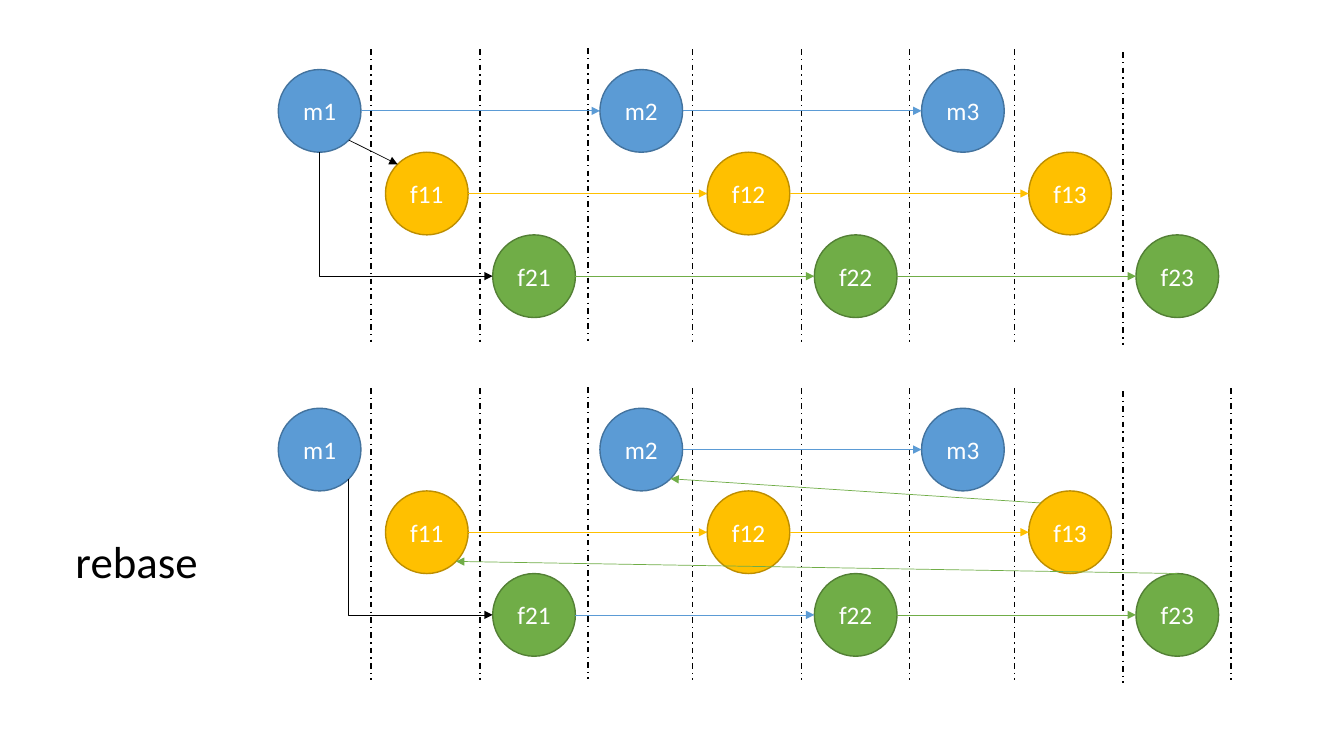
import math

import pptx
import pptx.dml.color
import pptx.enum.dml
import pptx.enum.shapes
import pptx.enum.text
import pptx.oxml
import pptx.oxml.ns
import pptx.util
from pptx.util import Inches

BLUE, GOLD, GREEN, BLACK, WHITE = "5B9BD5", "FFC000", "70AD47", "000000", "FFFFFF"
COMMITS = ["m1", "f11", "f21", "m2", "f12", "f22", "m3", "f13", "f23"]
BRANCH_STYLES = [(BLUE, "43739E"), (GOLD, "BD8E00"), (GREEN, "538035")]
DIAMETER = 0.82
CYCLE = 3.19  # distance between two commits of one branch
FIRST_LEFT, FIRST_TOP = 2.76, 0.69
DIVIDER_HEIGHT = 2.9
# Clockwise angles, in degrees, of the points where arrows meet a commit
RIGHT, LOWER_RIGHT, BOTTOM, LEFT, UPPER_LEFT, TOP = 0, 45, 90, 180, 225, 270


def color(value):
    """Turn a hex string into a colour."""
    return pptx.dml.color.RGBColor.from_string(value)


class Diagram:
    """Holds the text style and the current page."""

    def __init__(self, page, font="Calibri"):
        """Keep the page and the font name."""
        self.page = page
        self.font = font

    def set_text(self, shape, text, size, fill):
        """Put one centred line of text into a shape."""
        para = shape.text_frame.paragraphs[0]
        para.text = text
        para.alignment = pptx.enum.text.PP_ALIGN.CENTER
        para.font.name = self.font
        para.font.size = pptx.util.Pt(size)
        para.font.color.rgb = color(fill)

    def label(self, text, left, top, width, height, size):
        """Add a text box."""
        box = self.page.shapes.add_textbox(
            Inches(left), Inches(top), Inches(width), Inches(height))
        box.text_frame.word_wrap = True
        self.set_text(box, text, size, BLACK)

    def commit(self, name, left, top, fill, outline):
        """Add a commit circle."""
        circle = self.page.shapes.add_shape(
            pptx.enum.shapes.MSO_SHAPE.OVAL,
            Inches(left), Inches(top), Inches(DIAMETER), Inches(DIAMETER))
        circle.shadow.inherit = False
        circle.fill.solid()
        circle.fill.fore_color.rgb = color(fill)
        circle.line.color.rgb = color(outline)
        circle.line.width = pptx.util.Pt(1)
        circle.text_frame.word_wrap = False
        circle.text_frame.vertical_anchor = pptx.enum.text.MSO_ANCHOR.MIDDLE
        self.set_text(circle, name, 18, WHITE)

    def line(self, start, end, stroke, width, kind="STRAIGHT"):
        """Add a connector without shadow."""
        connector = self.page.shapes.add_connector(
            pptx.enum.shapes.MSO_CONNECTOR[kind],
            *(Inches(value) for value in (*start, *end)))
        connector.line.color.rgb = color(stroke)
        connector.line.width = pptx.util.Pt(width)
        properties = connector.element.spPr
        properties.append(pptx.oxml.parse_xml(
            "<a:effectLst %s/>" % pptx.oxml.ns.nsdecls("a")))
        return connector

    def divider(self, x, top):
        """Add a vertical dash-dot line."""
        connector = self.line((x, top), (x, top + DIVIDER_HEIGHT), BLACK, 1)
        connector.line.dash_style = pptx.enum.dml.MSO_LINE.DASH_DOT

    def arrow(self, start, end, stroke, kind="STRAIGHT"):
        """Add a thin line with a triangle at its end."""
        connector = self.line(start, end, stroke, 0.5, kind)
        outline = connector.element.spPr.find(pptx.oxml.ns.qn("a:ln"))
        outline.append(pptx.oxml.parse_xml(
            '<a:tailEnd type="triangle" %s/>' % pptx.oxml.ns.nsdecls("a")))
        return connector

    def elbow(self, start, end):
        """Add an arrow that runs down and then right."""
        (x1, y1), (x2, y2) = start, end
        middle_x, middle_y = (x1 + x2) / 2, (y1 + y2) / 2
        half_width, half_height = (y2 - y1) / 2, (x2 - x1) / 2
        # The box is drawn mirrored, then turned by three quarters
        connector = self.arrow(
            (middle_x + half_width, middle_y - half_height),
            (middle_x - half_width, middle_y + half_height), BLACK, "ELBOW")
        properties = connector.element.spPr
        properties.find(pptx.oxml.ns.qn("a:xfrm")).set("rot", "16200000")
        properties.find(pptx.oxml.ns.qn("a:prstGeom")).set("prst", "bentConnector2")


def corner(name, shift):
    """Return the left and top of a commit."""
    index = COMMITS.index(name)
    return (FIRST_LEFT + index * CYCLE / 3,
            FIRST_TOP + shift + index % 3 * DIAMETER)


def site(name, angle, shift):
    """Return a point on the edge of a commit."""
    left, top = corner(name, shift)
    radius, turn = DIAMETER / 2, math.radians(angle)
    return (left + radius + radius * math.cos(turn),
            top + radius + radius * math.sin(turn))


def draw_history(diagram, shift, divider_count, chains, jumps, elbow_angle):
    """Draw one commit history, moved down by shift."""
    for index in range(divider_count):
        cycle, step = divmod(index, 3)
        nudge = {2: -0.01, 7: 0.03}.get(index, 0)
        diagram.divider((3.68, 4.76, 5.83)[step] + cycle * CYCLE, 0.49 + shift + nudge)
    for index, name in enumerate(COMMITS):
        diagram.commit(name, *corner(name, shift), *BRANCH_STYLES[index % 3])
    for start, end, stroke in chains:
        diagram.arrow(site(start, RIGHT, shift), site(end, LEFT, shift), stroke)
    for start, start_angle, end, end_angle, stroke in jumps:
        diagram.arrow(site(start, start_angle, shift), site(end, end_angle, shift), stroke)
    diagram.elbow(site("m1", elbow_angle, shift), site("f21", LEFT, shift))


deck = pptx.Presentation()
deck.slide_width, deck.slide_height = Inches(13.33), Inches(7.5)
diagram = Diagram(deck.slides.add_slide(deck.slide_layouts[6]))

shared_chains = [
    ("m2", "m3", BLUE), ("f11", "f12", GOLD),
    ("f12", "f13", GOLD), ("f22", "f23", GREEN),
]
draw_history(
    diagram, 0, 8,
    shared_chains + [("m1", "m2", BLUE), ("f21", "f22", GREEN)],
    [("m1", LOWER_RIGHT, "f11", UPPER_LEFT, BLACK)], BOTTOM)
draw_history(
    diagram, 3.36, 9,
    shared_chains + [("f21", "f22", BLUE)],
    [("f13", UPPER_LEFT, "m2", LOWER_RIGHT, GREEN),
     ("f23", TOP, "f11", LOWER_RIGHT, GREEN)], LOWER_RIGHT)
diagram.label("rebase", 0.43, 5.25, 1.85, 0.64, 32)

deck.save("out.pptx")
